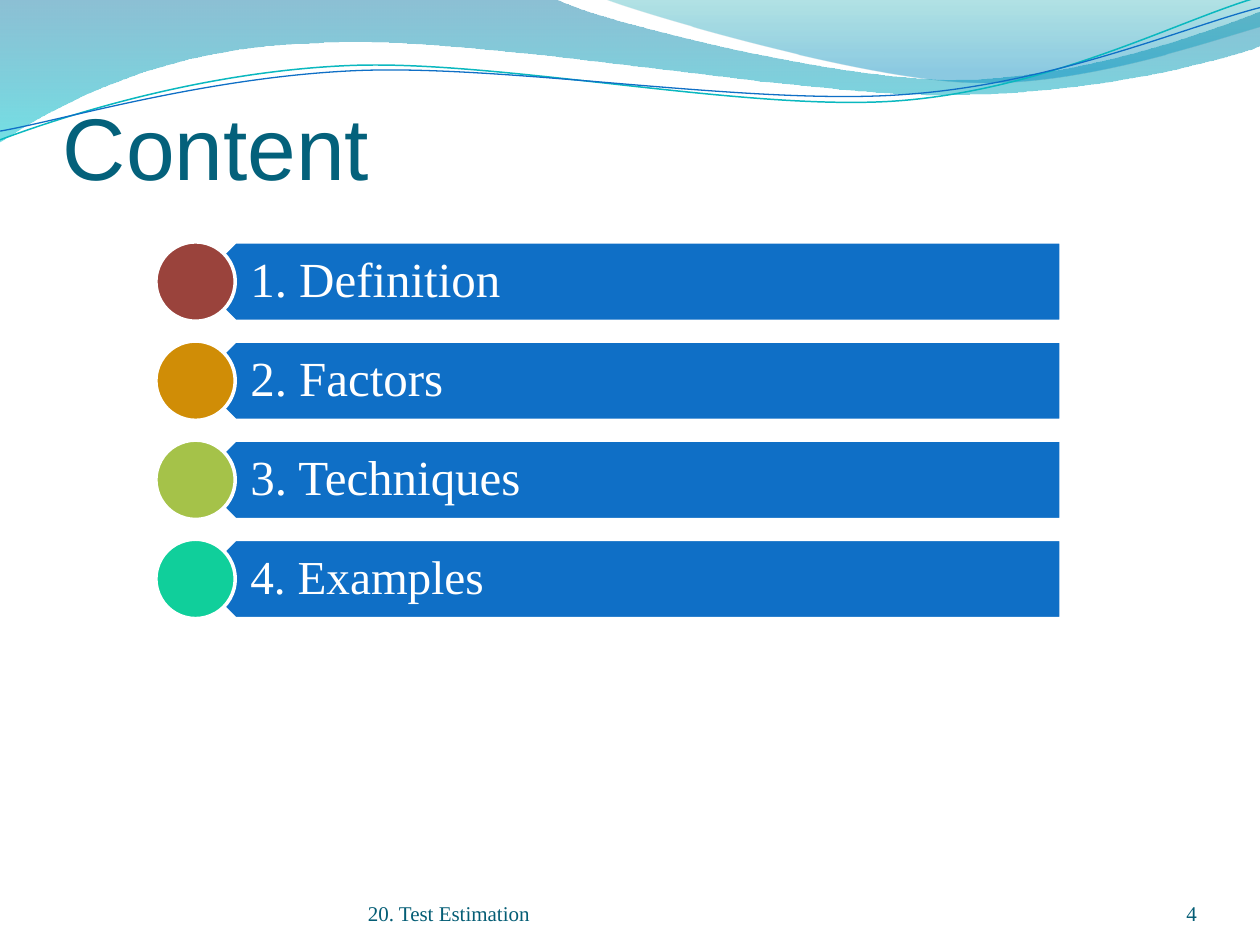
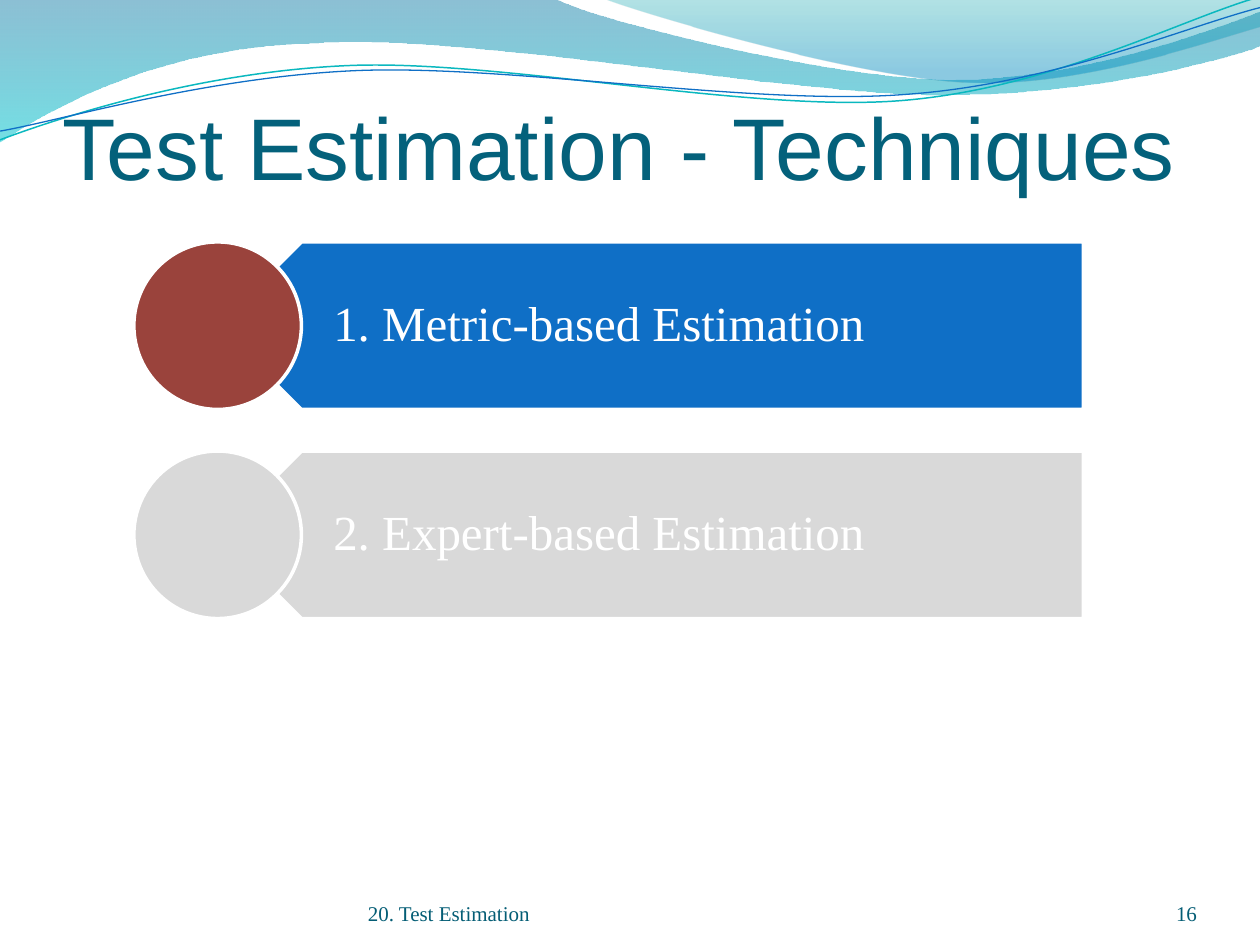
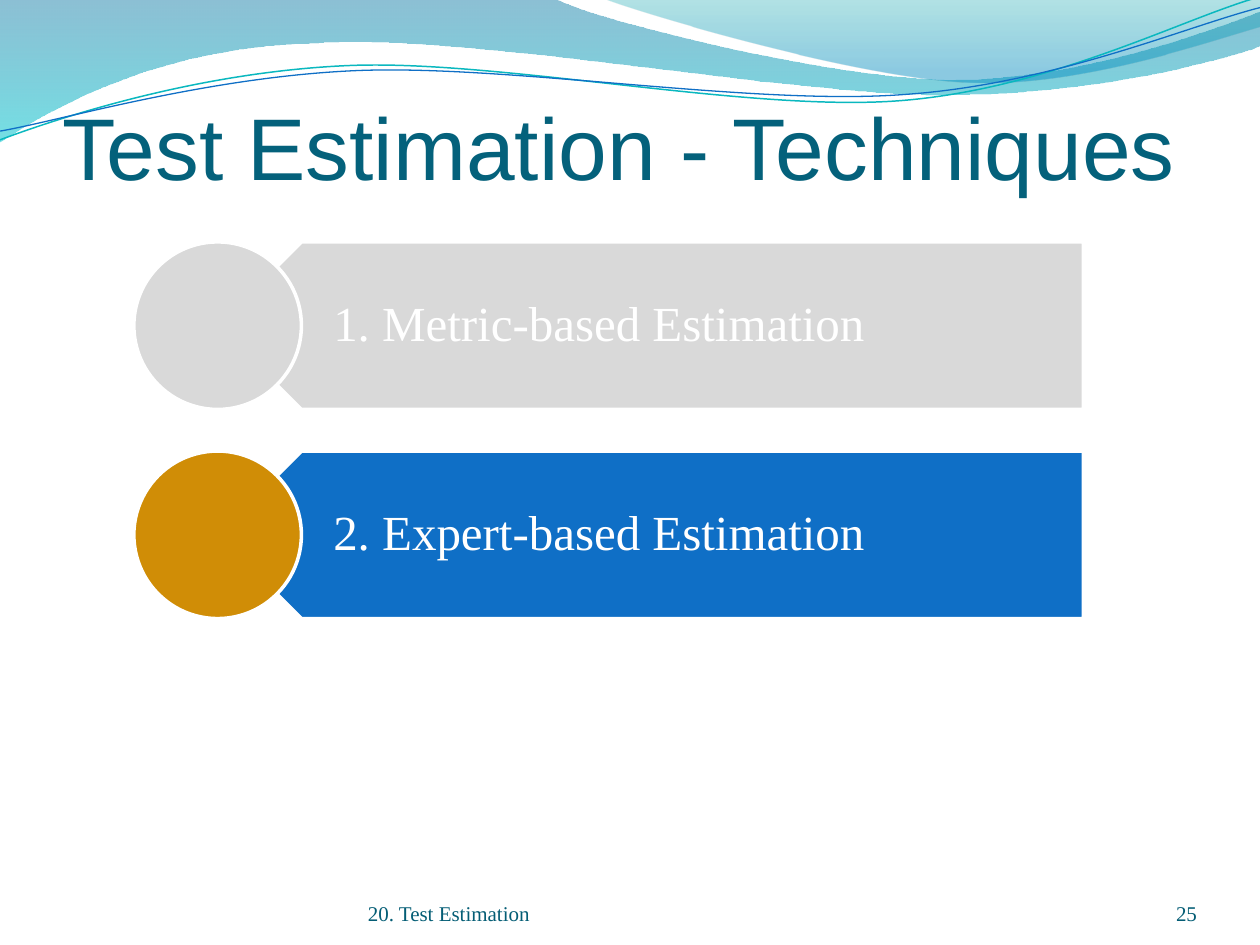
from math import cos, radians, sin

from lxml.etree import SubElement
from pptx import Presentation
from pptx.dml.color import RGBColor
from pptx.enum.shapes import MSO_SHAPE as SHAPE
from pptx.enum.text import MSO_ANCHOR as ANCHOR, PP_ALIGN as ALIGN
from pptx.oxml.ns import qn
from pptx.util import Emu, Pt

PX = 9144  # EMU per px, 100 px to the inch

WHITE = RGBColor(0xFF, 0xFF, 0xFF)
TITLE = RGBColor(0x04, 0x61, 0x7B)
FOOTER = RGBColor(0x04, 0x5D, 0x75)
BLUE = RGBColor(0x0F, 0x6F, 0xC6)
TEAL = RGBColor(0x0A, 0xB8, 0xBF)
GREY = RGBColor(0xD9, 0xD9, 0xD9)
RED = RGBColor(0x9A, 0x43, 0x3C)
OCHRE = RGBColor(0xD0, 0x8D, 0x06)
LIME = RGBColor(0xA5, 0xC2, 0x49)
MINT = RGBColor(0x10, 0xCF, 0x9B)

HEAD_FONT, BODY_FONT = "Arial", "Times New Roman"

# Outlines: a start point, then lines (x, y) or Bezier curves (three points).
# Gradient stops: position, colour, opacity in percent.
WAVES = [
    ([(0, 0), (440, -1), (476, 17, 664, 63, 758, 63),
      (853, 63, 958, 26, 1000, 9), (1001, 36),
      (983, 44, 870, 76, 746, 75), (622, 75, 382, 28, 257, 34),
      (129, 36, 46, 83, -1, 113), (0, 0)],
     [(0, RGBColor(0x00, 0x74, 0xA1), 45), (1, RGBColor(0x00, 0xC6, 0xCF), 55)]),
    ([(479, -1), (509, 11, 682, 62, 769, 65),
      (856, 69, 961, 32, 1000, 21), (1000, 0), (479, -1)],
     [(0, RGBColor(0x00, 0xA1, 0xA9), 30), (0.8, RGBColor(0x00, 0x8B, 0xBF), 45)]),
]
# Each line is tilted about its pivot.
WAVE_TILT = 357.3
WAVE_LINES = [
    ([(0, 111), (48, 93, 158, 57, 277, 52), (395, 47, 593, 89, 713, 80),
      (833, 71, 938, 15, 998, -2)], (499, 58), TEAL, 0.85),
    ([(0, 104), (47, 96, 164, 61, 283, 56), (403, 51, 597, 84, 717, 75),
      (836, 67, 941, 21, 1000, 6)], (499, 59), BLUE, 0.75),
]

LIST_TOP, LIST_BOTTOM, LIST_CENTRE = 192, 491, 483
BAR_WIDTH = 687


def px(n):
    return Emu(round(n * PX))


def untilt(outline, pivot):
    """Turn an outline back to level, so that the shape can carry the tilt."""
    c, s = cos(radians(-WAVE_TILT)), sin(radians(-WAVE_TILT))
    cx, cy = pivot
    level = []
    for seg in outline:
        pairs = [(x - cx, y - cy) for x, y in zip(seg[::2], seg[1::2])]
        level.append(tuple(v for x, y in pairs
                           for v in (cx + x * c - y * s, cy + x * s + y * c)))
    return level


class Deck:
    def __init__(self):
        self.prs = Presentation()
        self.prs.slide_width, self.prs.slide_height = px(1000), px(750)
        self.s = None

    def slide(self, title, number):
        self.s = self.prs.slides.add_slide(self.prs.slide_layouts[6])
        for outline, stops in WAVES:
            self.wave(outline, stops)
        for outline, pivot, color, width in WAVE_LINES:
            self.wave_line(outline, pivot, color, width)
        self.text(title, (50, 67, 900, 90), 50, TITLE, HEAD_FONT, insets=(0, 5, 0, 0))
        self.text("20. Test Estimation", (292, 695, 367, 40), 12, FOOTER)
        self.text(str(number), (867, 695, 83, 40), 12, FOOTER, align=ALIGN.RIGHT)

    def freeform(self, outline, close):
        """Build lines through all points, then make each triple one curve."""
        start, *segs = outline
        points = [(px(x), px(y)) for seg in segs for x, y in zip(seg[::2], seg[1::2])]
        builder = self.s.shapes.build_freeform(px(start[0]), px(start[1]))
        builder.add_line_segments(points, close=close)
        sp = builder.convert_to_shape()
        sp.shadow.inherit = False
        lines = iter(list(sp._element.iter(qn("a:lnTo"))))
        for seg in segs:
            line = next(lines)
            if len(seg) == 6:
                line.addprevious(line.makeelement(qn("a:cubicBezTo"), {}))
                curve = line.getprevious()
                for node in (line, next(lines), next(lines)):
                    curve.append(node[0])
                    node.getparent().remove(node)
        return sp

    def wave(self, outline, stops):
        sp = self.freeform(outline, True)
        sp.line.fill.background()
        sp.fill.gradient()
        sp.fill.gradient_angle = 270
        for stop, (position, color, _) in zip(sp.fill.gradient_stops, stops):
            stop.position, stop.color.rgb = position, color
        for clr, (_, _, opacity) in zip(sp._element.iter(qn("a:srgbClr")), stops):
            SubElement(clr, qn("a:alpha")).set("val", str(opacity * 1000))

    def wave_line(self, outline, pivot, color, width):
        sp = self.freeform(untilt(outline, pivot), False)
        sp.rotation = WAVE_TILT
        sp.fill.background()
        sp.line.color.rgb, sp.line.width = color, Pt(width)

    def text(self, text, box, size, color, font=BODY_FONT, align=ALIGN.LEFT,
             anchor=ANCHOR.BOTTOM, insets=(0, 0, 0, 0), spacing=None):
        tf = self.s.shapes.add_textbox(*map(px, box)).text_frame
        tf.word_wrap, tf.vertical_anchor = True, anchor
        tf.margin_left, tf.margin_top, tf.margin_right, tf.margin_bottom = map(px, insets)
        p = tf.paragraphs[0]
        p.alignment, p.line_spacing = align, spacing
        r = p.add_run()
        r.text = text
        r.font.size, r.font.name, r.font.color.rgb = Pt(size), font, color

    def shape(self, kind, box, fill):
        sp = self.s.shapes.add_shape(kind, *map(px, box))
        sp.shadow.inherit = False
        sp.fill.solid()
        sp.fill.fore_color.rgb = fill
        sp.line.color.rgb, sp.line.width = WHITE, Pt(2)
        return sp

    def bar_list(self, rows, size):
        """Stack rows of (label, bar colour, disc colour, font size)."""
        left = LIST_CENTRE - (BAR_WIDTH + size / 2) / 2
        pitch = (LIST_BOTTOM - LIST_TOP - size) / (len(rows) - 1)
        for i, (label, bar, disc, font_size) in enumerate(rows):
            top = LIST_TOP + i * pitch
            bar_left, indent = left + size / 2, size / 4
            self.shape(SHAPE.PENTAGON, (bar_left, top, BAR_WIDTH, size), bar).rotation = 180
            self.text(label, (bar_left + indent, top, BAR_WIDTH - indent, size),
                      font_size, WHITE, anchor=ANCHOR.MIDDLE,
                      insets=(0.44 * size, 12, 22, 12), spacing=0.9)
            self.shape(SHAPE.OVAL, (left, top, size, size), disc)


def main():
    deck = Deck()
    deck.slide("Content", 4)
    deck.bar_list([("1. Definition", BLUE, RED, 28),
                   ("2. Factors", BLUE, OCHRE, 28),
                   ("3. Techniques", BLUE, LIME, 28),
                   ("4. Examples", BLUE, MINT, 27)], 63)

    techniques = [("1. Metric-based Estimation", RED),
                  ("2. Expert-based Estimation", OCHRE)]
    for number, active in ((16, 0), (25, 1)):
        deck.slide("Test Estimation - Techniques", number)
        deck.bar_list([(label, BLUE, disc, 28) if i == active else (label, GREY, GREY, 28)
                       for i, (label, disc) in enumerate(techniques)], 133)
    deck.prs.save("out.pptx")


if __name__ == "__main__":
    main()
